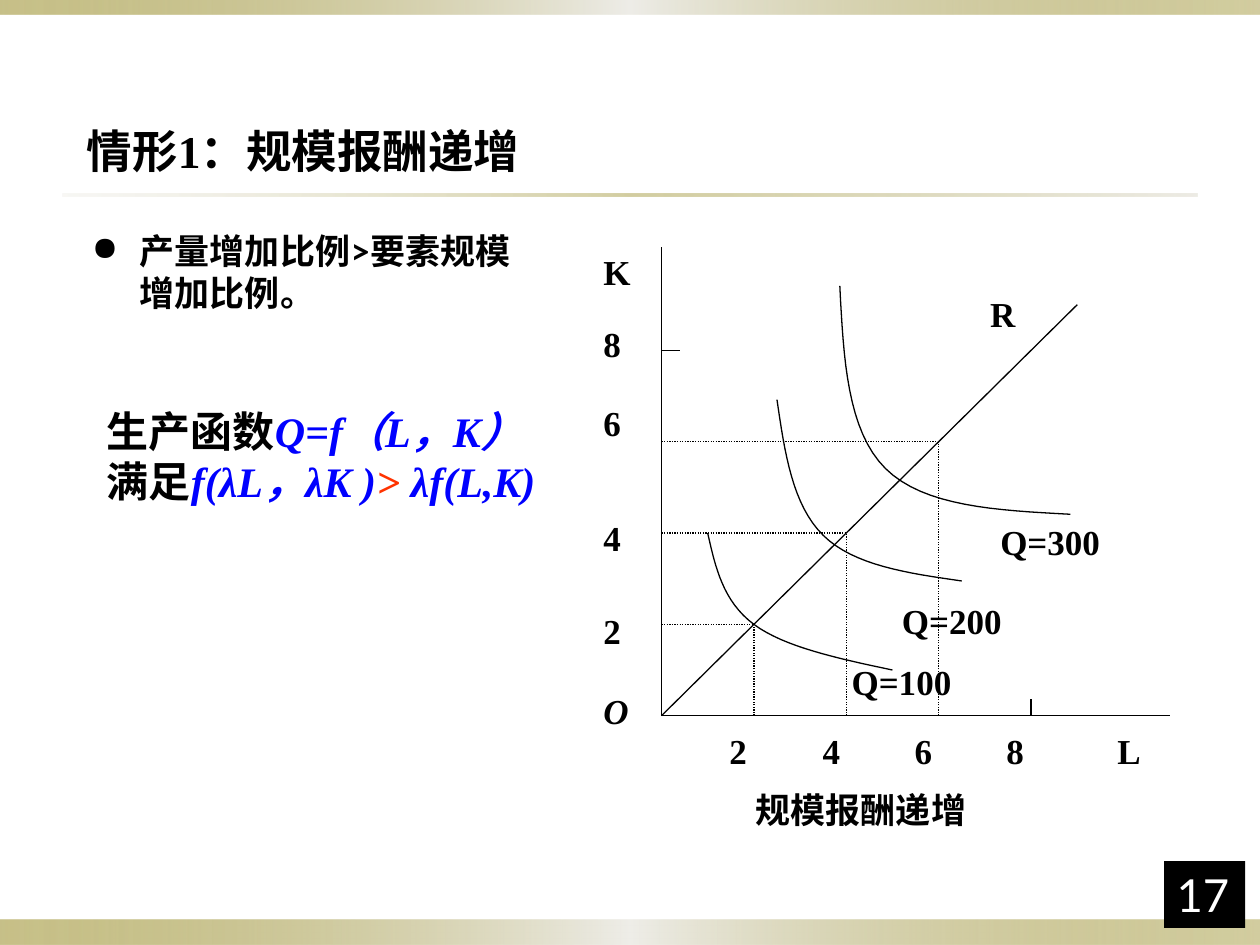
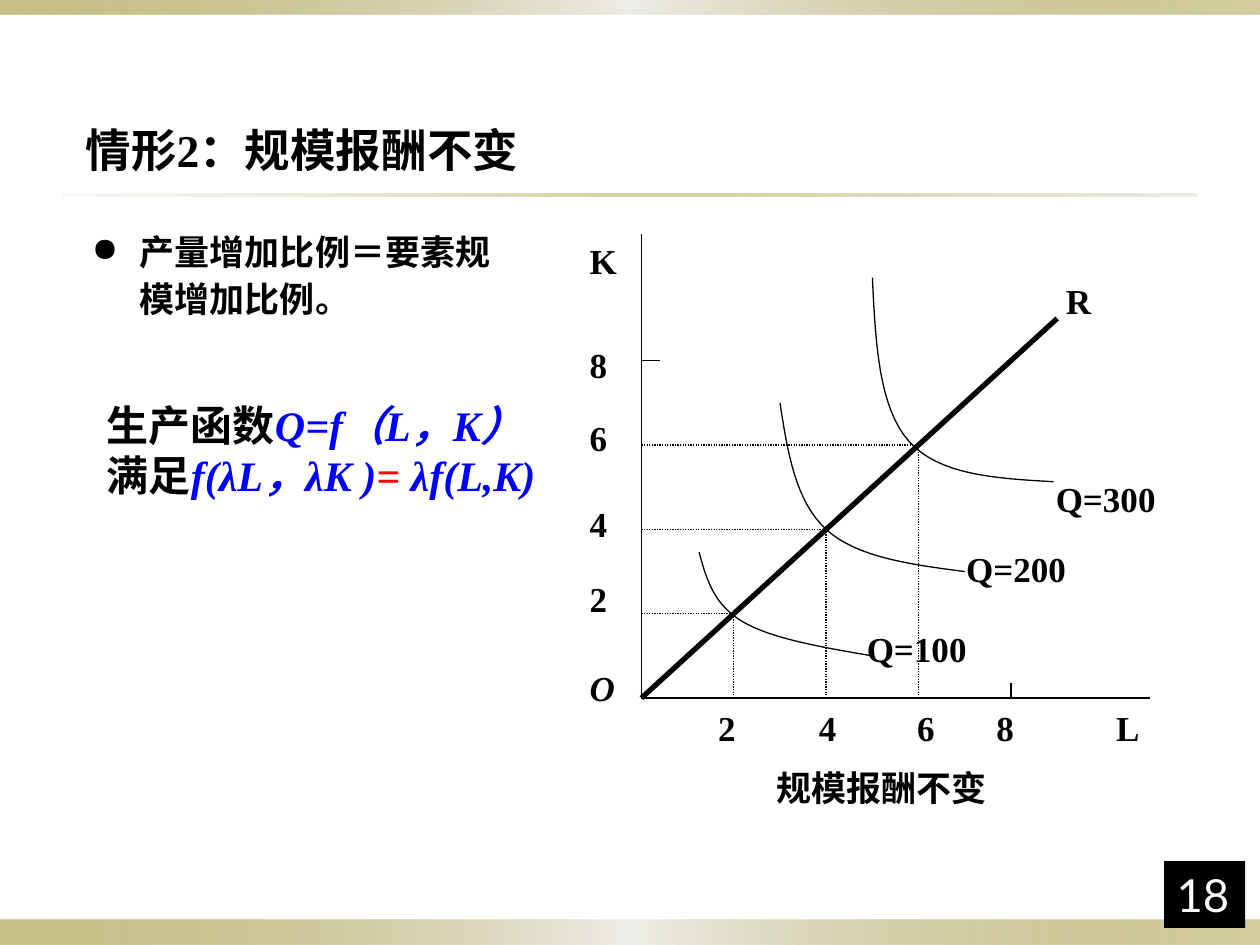
from dataclasses import dataclass
from typing import NamedTuple

from lxml.etree import SubElement
from pptx import Presentation
from pptx.dml.color import RGBColor
from pptx.enum.dml import MSO_LINE
from pptx.enum.shapes import MSO_CONNECTOR as CONNECTOR, MSO_SHAPE as SHAPE
from pptx.enum.text import MSO_ANCHOR as ANCHOR, PP_ALIGN as ALIGN
from pptx.oxml.ns import qn
from pptx.util import Pt


@dataclass(frozen=True)
class Theme:
    ink: str = "000000"
    paper: str = "FFFFFF"
    formula: str = "0000FF"
    # Gradient stops: position %, colour, opacity %
    band: tuple = ((0, "918415", 50), (50, "EEEDE8", 100), (100, "918415", 40))
    rule: tuple = ((0, "DCD9CC", 20), (50, "918415", 40), (100, "DCD9CC", 50))
    serif: str = "Times New Roman"
    body: str = "Lato"
    caption: str = "Arial"
    title_size: int = 26
    formula_size: int = 24
    text_size: int = 20
    thin: float = 0.75


THEME = Theme()


class Axes(NamedTuple):
    """Places graph units on the slide; all fields are points."""
    left: float
    bottom: float
    unit_l: float
    unit_k: float

    def at(self, l, k):
        return Pt(self.left + l * self.unit_l), Pt(self.bottom - k * self.unit_k)


# ---- Element helpers ----
def add_text(slide, box, text, *, font=THEME.serif, size=THEME.text_size,
             color=THEME.ink, bold=True, italic=False, align=ALIGN.LEFT,
             anchor=ANCHOR.TOP, spacing=None, bullet=None, shape=None):
    """Write text, or a list of (text, colour, italic) runs, in one paragraph."""
    shape = shape or slide.shapes.add_textbox(*map(Pt, box))
    frame = shape.text_frame
    frame.word_wrap = True
    frame.vertical_anchor = anchor
    paragraph = frame.paragraphs[0]
    paragraph.alignment = align
    if spacing:
        paragraph.line_spacing = spacing
    if bullet:
        add_bullet(paragraph, bullet)
    runs = [(text, color, italic)] if isinstance(text, str) else text
    for words, run_color, run_italic in runs:
        run = paragraph.add_run()
        run.text = words
        run.font.name, run.font.size = font, Pt(size)
        run.font.bold, run.font.italic = bold, run_italic
        run.font.color.rgb = RGBColor.from_string(run_color)
    return shape


def add_bullet(paragraph, mark, indent=27.4):
    props = paragraph._p.get_or_add_pPr()
    props.set("marL", str(Pt(indent)))
    props.set("indent", str(-Pt(indent)))
    SubElement(props, qn("a:buSzPct"), val="95000")
    SubElement(props, qn("a:buChar"), char=mark)


def add_box(slide, box, color):
    shape = slide.shapes.add_shape(SHAPE.RECTANGLE, *map(Pt, box))
    shape.shadow.inherit = False
    shape.line.fill.background()
    shape.fill.solid()
    shape.fill.fore_color.rgb = RGBColor.from_string(color)
    return shape


def add_gradient_box(slide, box, stops):
    shape = add_box(slide, box, THEME.paper)
    shape.fill.gradient()
    shape.fill.gradient_angle = 0
    stop_list = shape.element.spPr.find(qn("a:gradFill")).find(qn("a:gsLst"))
    for old_stop in list(stop_list):
        stop_list.remove(old_stop)
    for position, color, opacity in stops:
        stop = SubElement(stop_list, qn("a:gs"), pos=str(position * 1000))
        tint = SubElement(stop, qn("a:srgbClr"), val=color)
        SubElement(tint, qn("a:alpha"), val=str(opacity * 1000))


def style_line(line, width=THEME.thin, dash=None):
    line.color.rgb = RGBColor.from_string(THEME.ink)
    line.width = Pt(width)
    if dash:
        line.dash_style = dash


def add_line(slide, start, end, **line_format):
    connector = slide.shapes.add_connector(CONNECTOR.STRAIGHT, *start, *end)
    SubElement(connector.element.spPr, qn("a:effectLst"))
    style_line(connector.line, **line_format)


def bezier(p0, p1, p2, p3, steps=16):
    for step in range(1, steps + 1):
        t = step / steps
        yield tuple((1 - t) ** 3 * a + 3 * (1 - t) ** 2 * t * b
                    + 3 * (1 - t) * t ** 2 * c + t ** 3 * d
                    for a, b, c, d in zip(p0, p1, p2, p3))


def add_isoquant(slide, axes, start, bend, end):
    """Draw a smooth curve whose tangent at the bend is parallel to start-end."""
    slope = [(e - s) / 6 for s, e in zip(start, end)]
    before = [b - d for b, d in zip(bend, slope)]
    after = [b + d for b, d in zip(bend, slope)]
    leave = [(s + b) / 2 for s, b in zip(start, before)]
    arrive = [(a + e) / 2 for a, e in zip(after, end)]
    points = [*bezier(start, leave, before, bend), *bezier(bend, after, arrive, end)]
    outline = slide.shapes.build_freeform(*axes.at(*start))
    outline.add_line_segments([axes.at(*point) for point in points], close=False)
    curve = outline.convert_to_shape()
    curve.shadow.inherit = False
    curve.fill.background()
    style_line(curve.line)


# ---- Slide parts ----
def add_frame(slide, number):
    add_gradient_box(slide, (0, 525.6, 720, 14.4), THEME.band)
    add_gradient_box(slide, (0, 0, 720, 8.4), THEME.band)
    add_gradient_box(slide, (36, 110.8, 648, 1.5), THEME.rule)
    badge = add_box(slide, (665.2, 492, 46.3, 38.3), THEME.ink)
    add_text(slide, None, number, font=THEME.body, size=THEME.title_size,
             color=THEME.paper, bold=False, anchor=ANCHOR.BOTTOM, shape=badge)


def add_formula(slide, box, relation, relation_color):
    blue = THEME.formula
    add_text(slide, box, [
        ("生产函数", THEME.ink, False), ("Q=f（L，K）", blue, True),
        ("满足", THEME.ink, False), ("f(λL，λK )", blue, True),
        (relation, relation_color, True), ("λf(L,K)", blue, True),
    ], size=THEME.formula_size)


def add_graph(slide, axes, k_end, ray_width, isoquants):
    origin = axes.at(0, 0)
    add_line(slide, origin, axes.at(11, 0))
    add_line(slide, origin, axes.at(0, k_end))
    add_line(slide, axes.at(8, 0), axes.at(8, 0.36))
    add_line(slide, axes.at(0, 8), axes.at(0.4, 8))
    add_line(slide, origin, axes.at(9, 9), width=ray_width)
    for level in (2, 4, 6):
        for foot in ((0, level), (level, 0)):
            add_line(slide, axes.at(*foot), axes.at(level, level),
                     dash=MSO_LINE.ROUND_DOT)
    for isoquant in isoquants:
        add_isoquant(slide, axes, *isoquant)


def add_graph_labels(slide, k_left, k_tops, l_top, l_lefts, others):
    for text, top in zip("K8642O", k_tops):
        add_text(slide, (k_left, top, 32, 31), text, italic=text == "O")
    for text, left in zip("2468L", l_lefts):
        add_text(slide, (left, l_top, 32, 31), text)
    for text, left, top in others:
        add_text(slide, (left, top, 36 if text == "R" else 95, 31), text)


def add_case(deck, case):
    slide = deck.slides.add_slide(deck.slide_layouts[6])
    add_frame(slide, case["number"])
    add_text(slide, case["title_box"], case["title"], size=THEME.title_size,
             anchor=ANCHOR.MIDDLE)
    add_text(slide, case["point_box"], case["point"], font=THEME.body,
             spacing=case["point_spacing"], bullet="●")
    add_formula(slide, *case["formula"])
    add_graph(slide, *case["graph"])
    add_graph_labels(slide, *case["labels"])
    add_text(slide, case["caption_box"], case["caption"], font=THEME.caption,
             align=ALIGN.CENTER)


# ---- Content ----
CASES = (
    dict(
        number="17",
        title="情形1：规模报酬递增", title_box=(42.5, 65.5, 278, 40.3),
        point="产量增加比例>要素规模增加比例。",
        point_box=(45.4, 127.4, 262.8, 72.7), point_spacing=None,
        formula=((54, 228.2, 259.2, 65.5), "> ", "FF3300"),
        graph=(Axes(378, 409, 26.4, 26.1), 10.26, THEME.thin, (
            ((1, 4), (2, 2), (5, 1)),
            ((2.5, 6.92), (3.5, 3.95), (6.5, 2.95)),
            ((3.86, 9.41), (4.85, 5.41), (8.85, 4.41)))),
        labels=(337.7, (139.7, 180.7, 226, 291.6, 344.9, 390.2),
                413.3, (409.7, 463, 515.5, 568, 631.4),
                (("Q=100", 479.5, 373.7), ("Q=200", 508.3, 339),
                 ("Q=300", 564.5, 293.8), ("R", 558.7, 163.4))),
        caption="规模报酬递增", caption_box=(406, 447, 172, 34.5),
    ),
    dict(
        number="18",
        title="情形2：规模报酬不变", title_box=(41.8, 59, 276.5, 52.6),
        point="产量增加比例＝要素规模增加比例。",
        point_box=(45.4, 126, 244, 72), point_spacing=1.1,
        formula=((54, 224.6, 265, 65.5), "= ", "FF0000"),
        graph=(Axes(366.5, 398.9, 26.4, 24.1), 11, 3, (
            ((1.25, 3.46), (2.18, 1.82), (5, 1)),
            ((3, 7), (4, 4), (7, 3)),
            ((5, 9.97), (5.79, 6.09), (8.92, 5.13)))),
        labels=(329.8, (133.2, 193, 234.7, 283.7, 326.2, 377.3),
                400.3, (403.2, 460.8, 517, 562.3, 630.7),
                (("Q=100", 488.2, 355), ("Q=200", 545, 309.6),
                 ("Q=300", 596.2, 269.3), ("R", 602, 156.2))),
        caption="规模报酬不变", caption_box=(420.5, 434.2, 166.3, 38.2),
    ),
)


def main():
    deck = Presentation()
    deck.slide_width, deck.slide_height = Pt(720), Pt(540)
    for case in CASES:
        add_case(deck, case)
    deck.save("out.pptx")


if __name__ == "__main__":
    main()
